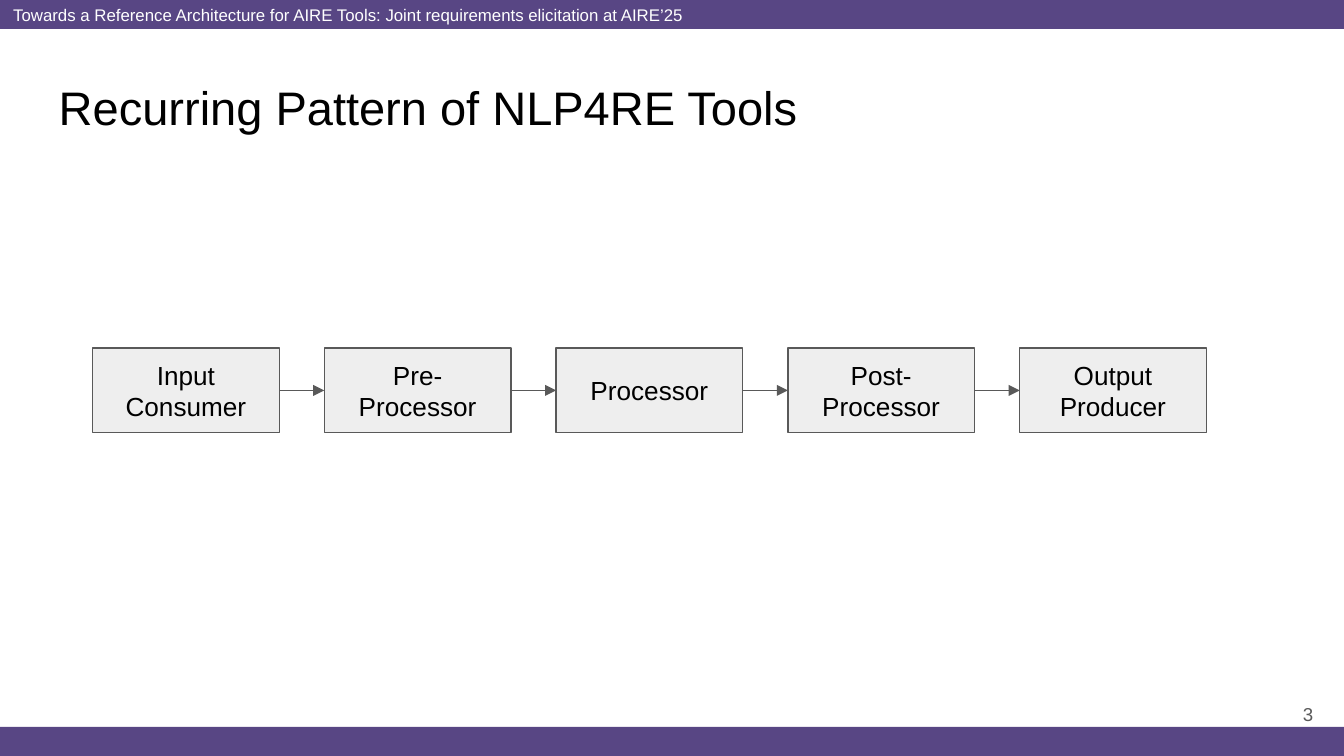
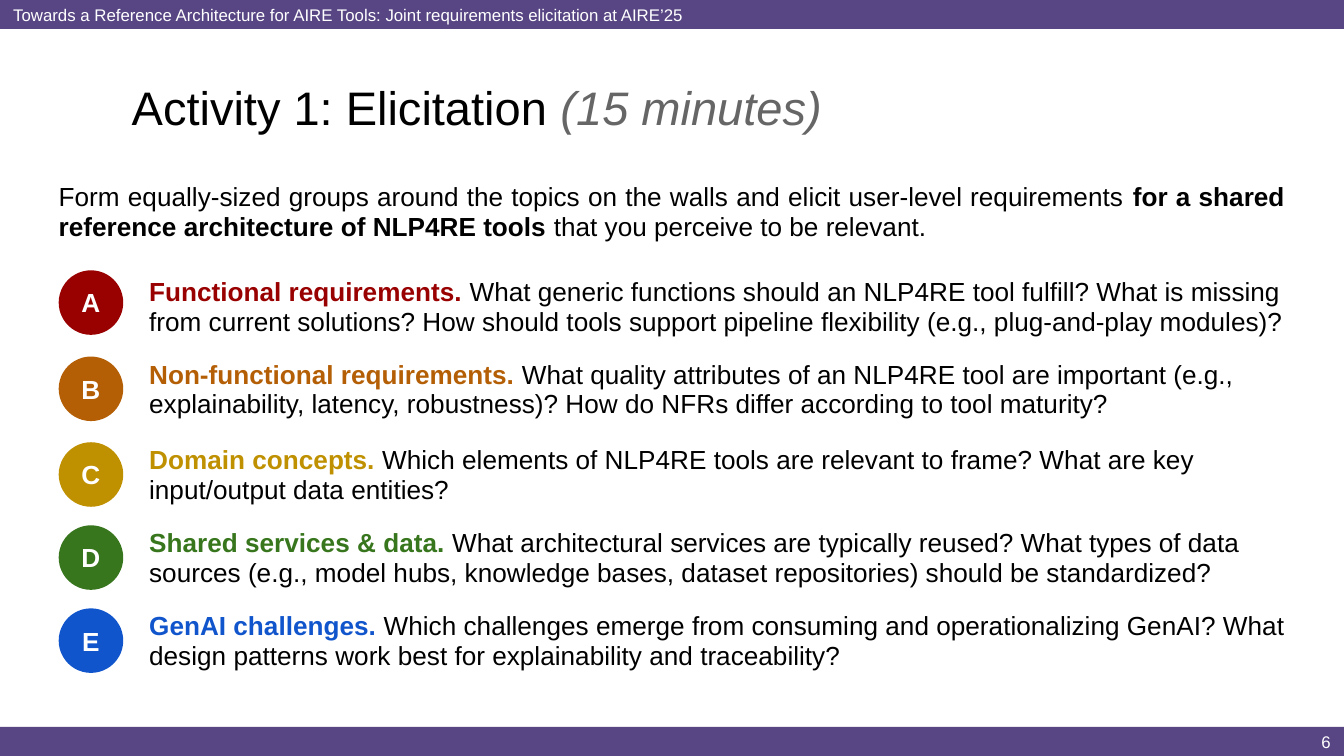
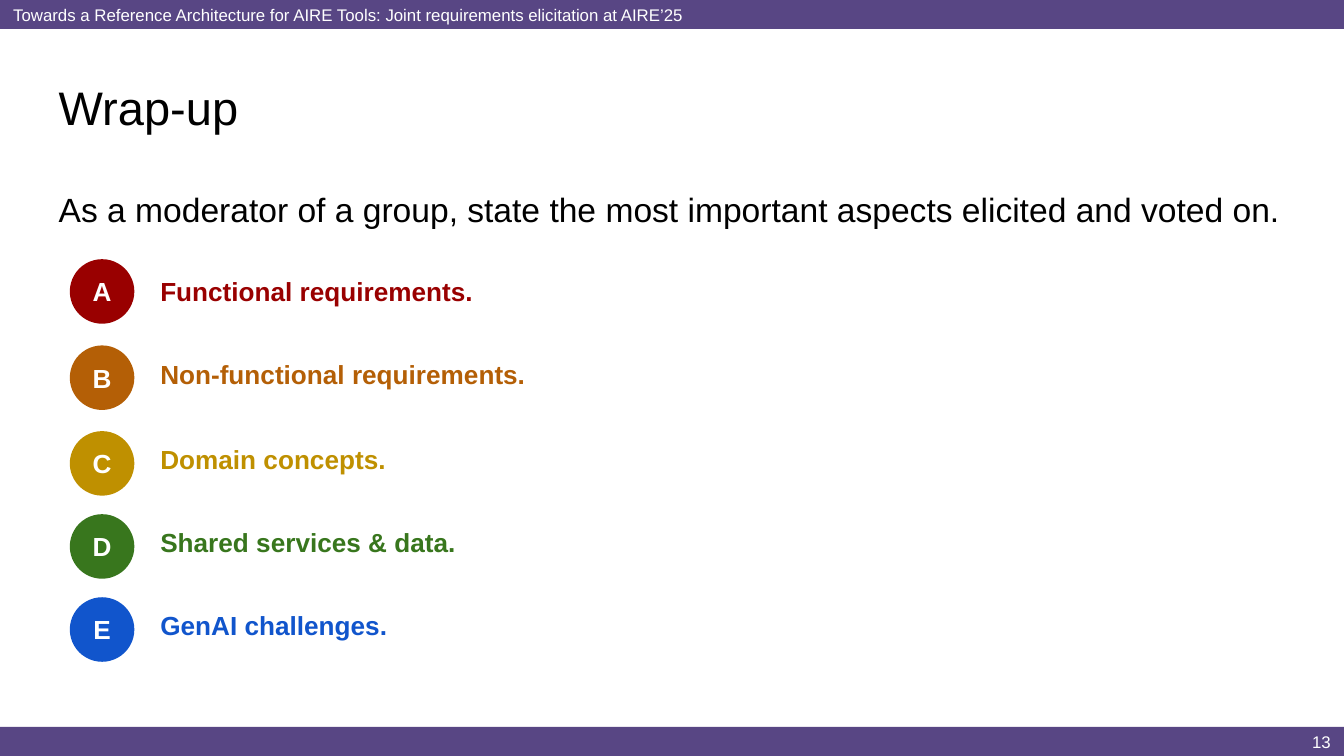
from lxml import etree
from pptx import Presentation
from pptx.dml.color import RGBColor
from pptx.enum.shapes import MSO_CONNECTOR, MSO_SHAPE
from pptx.enum.text import MSO_ANCHOR, MSO_AUTO_SIZE, PP_ALIGN
from pptx.oxml.ns import qn
from pptx.util import Cm, Pt

RECT, OVAL = MSO_SHAPE.RECTANGLE, MSO_SHAPE.OVAL
STRAIGHT = MSO_CONNECTOR.STRAIGHT
MIDDLE, GROW = MSO_ANCHOR.MIDDLE, MSO_AUTO_SIZE.SHAPE_TO_FIT_TEXT
LEFT, CENTER, RIGHT, JUSTIFY = PP_ALIGN.LEFT, PP_ALIGN.CENTER, PP_ALIGN.RIGHT, PP_ALIGN.JUSTIFY

PURPLE, WHITE, BLACK = "584684", "FFFFFF", "000000"
BOX_GRAY, LINE_GRAY, ASIDE_GRAY = "EEEEEE", "595959", "666666"

SMALL = {"size": Pt(9)}
PAGE = {"size": Pt(10)}
TITLE = {"size": Pt(25.2)}
ASIDE = {**TITLE, "italic": True}
BODY = {"size": Pt(14)}
STRONG = {**BODY, "bold": True}
LEAD = {"size": Pt(18)}

MARGINS = {f"margin_{side}": Cm(0.25) for side in ("left", "right", "top", "bottom")}
CENTERED = {"alignment": CENTER}
FLUSH_RIGHT = {"alignment": RIGHT}
TIGHT = {"line_spacing": 0.95, "space_after": Pt(12)}
LOOSE = {"line_spacing": 1.15, "space_after": Pt(12)}

SLIDE_W, SLIDE_H, BAND_H = 25.4, 14.29, 0.55
BAND_TOP = SLIDE_H - BAND_H
BODY_LEFT, BODY_TOP, BODY_W = 0.86, 3.2, 23.67
HEADER = "Towards a Reference Architecture for AIRE Tools: Joint requirements elicitation at AIRE’25"


def color(hex_code):
    return RGBColor.from_string(hex_code)


def add_block(slide, place, runs=(), paragraph_format=None, frame_format=None,
              outline=None, fill=None, line=None):
    """Add a text box, or a preset shape if outline is given; runs are (text, colour, font format)."""
    lengths = [Cm(value) for value in place]
    if outline is None:
        block = slide.shapes.add_textbox(*lengths)
    else:
        block = slide.shapes.add_shape(outline, *lengths)
        block.shadow.inherit = False
        block.fill.solid()
        block.fill.fore_color.rgb = color(fill)
        if line:
            block.line.color.rgb = color(line)
            block.line.width = Pt(0.75)
        else:
            block.line.fill.background()
    frame = block.text_frame
    for name, value in {"word_wrap": True, **MARGINS, **(frame_format or {})}.items():
        setattr(frame, name, value)
    paragraph = frame.paragraphs[0]
    for name, value in {"alignment": LEFT, **(paragraph_format or {})}.items():
        setattr(paragraph, name, value)
    for text, hex_code, font_format in runs:
        run = paragraph.add_run()
        run.text = text
        run.font.color.rgb = color(hex_code)
        for name, value in {"name": "Arial", **font_format}.items():
            setattr(run.font, name, value)
    return block


prs = Presentation()
prs.slide_width, prs.slide_height = Cm(SLIDE_W), Cm(SLIDE_H)

# Shared frame: bands, title and page number
corner = (23.88, BAND_TOP, 1.52, BAND_H)
pages = [
    (BODY_LEFT, BODY_W, [("Recurring Pattern of NLP4RE Tools", BLACK, TITLE)],
     (23.55, 12.95, 1.52, 1.09), ("3", LINE_GRAY, PAGE)),
    (2.24, 21.87, [("Activity 1: Elicitation ", BLACK, TITLE), ("(15 minutes)", ASIDE_GRAY, ASIDE)],
     corner, ("6", WHITE, SMALL)),
    (BODY_LEFT, BODY_W, [("Wrap-up", BLACK, TITLE)], corner, ("13", WHITE, SMALL)),
]
slides = []
for title_left, title_width, title_runs, number_place, number in pages:
    slide = prs.slides.add_slide(prs.slide_layouts[6])
    bands = [(0, [(HEADER, WHITE, SMALL)]), (BAND_TOP, [])]
    for top, runs in bands:
        add_block(slide, (0, top, SLIDE_W, BAND_H), runs, None, {"vertical_anchor": MIDDLE},
                  RECT, PURPLE)
    add_block(slide, number_place, [number], FLUSH_RIGHT, {"vertical_anchor": MIDDLE})
    add_block(slide, (title_left, 1.24, title_width, 1.6), title_runs)
    slides.append(slide)
pattern, activity, wrap_up = slides

# Recurring pattern: a chain of processing stages
stages = []
for i, label in enumerate(["Input Consumer", "Pre- Processor", "Processor",
                           "Post- Processor", "Output Producer"]):
    stages.append(add_block(pattern, (1.75 + i * 4.38, 6.58, 3.53, 1.6), [(label, BLACK, BODY)],
                            CENTERED, {"vertical_anchor": MIDDLE}, RECT, BOX_GRAY, LINE_GRAY))
for source, target in zip(stages, stages[1:]):
    arrow = pattern.shapes.add_connector(STRAIGHT, 0, 0, 0, 0)
    arrow.begin_connect(source, 3)
    arrow.end_connect(target, 1)
    arrow.line.color.rgb = color(LINE_GRAY)
    arrow.line.width = Pt(0.75)
    etree.SubElement(arrow.line._get_or_add_ln(), qn("a:tailEnd"), type="triangle")
    etree.SubElement(arrow._element.spPr, qn("a:effectLst"))

# Introductions of the two topic slides
add_block(activity, (BODY_LEFT, BODY_TOP, BODY_W, 1.78), [
    ("Form equally-sized groups around the topics on the walls and elicit user-level requirements ",
     BLACK, BODY),
    ("for a shared reference architecture of NLP4RE tools", BLACK, STRONG),
    (" that you perceive to be relevant.", BLACK, BODY),
], {**TIGHT, "alignment": JUSTIFY})
add_block(wrap_up, (BODY_LEFT, BODY_TOP, BODY_W, 1.6), [
    ("As a moderator of a group, state the most important aspects elicited and voted on.",
     BLACK, LEAD),
], LOOSE)

# Topics: letter, colour, text top, badge top, heading, questions
topics = [
    ("A", "990000", 5.0, 5.11, "Functional requirements.",
     "What generic functions should an NLP4RE tool fulfill? What is missing from current solutions? "
     "How should tools support pipeline flexibility (e.g., plug-and-play modules)?"),
    ("B", "B45F06", 6.56, 6.74, "Non-functional requirements.",
     "What quality attributes of an NLP4RE tool are important (e.g., explainability, latency, "
     "robustness)? How do NFRs differ according to tool maturity?"),
    ("C", "BF9000", 8.18, 8.36, "Domain concepts.",
     "Which elements of NLP4RE tools are relevant to frame? "
     "What are key input/output data entities?"),
    ("D", "38761D", 9.75, 9.93, "Shared services & data.",
     "What architectural services are typically reused? What types of data sources (e.g., model "
     "hubs, knowledge bases, dataset repositories) should be standardized?"),
    ("E", "1155CC", 11.32, 11.5, "GenAI challenges.",
     "Which challenges emerge from consuming and operationalizing GenAI? "
     "What design patterns work best for explainability and traceability?"),
]
for letter, hue, text_top, badge_top, heading, questions in topics:
    detailed = [(heading + " ", hue, STRONG), (questions, BLACK, BODY)]
    brief = [(heading, hue, STRONG)]
    for slide, shift, rise, height, runs in [(activity, 0, 0, 1.65, detailed),
                                             (wrap_up, 0.21, 0.21, 1.09, brief)]:
        add_block(slide, (2.57 + shift, text_top, 22.28, height), runs, TIGHT, {"auto_size": GROW})
        add_block(slide, (1.11 + shift, badge_top - rise, 1.22, 1.22), [(letter, WHITE, STRONG)],
                  CENTERED, {"vertical_anchor": MIDDLE}, OVAL, hue)

prs.save("out.pptx")
